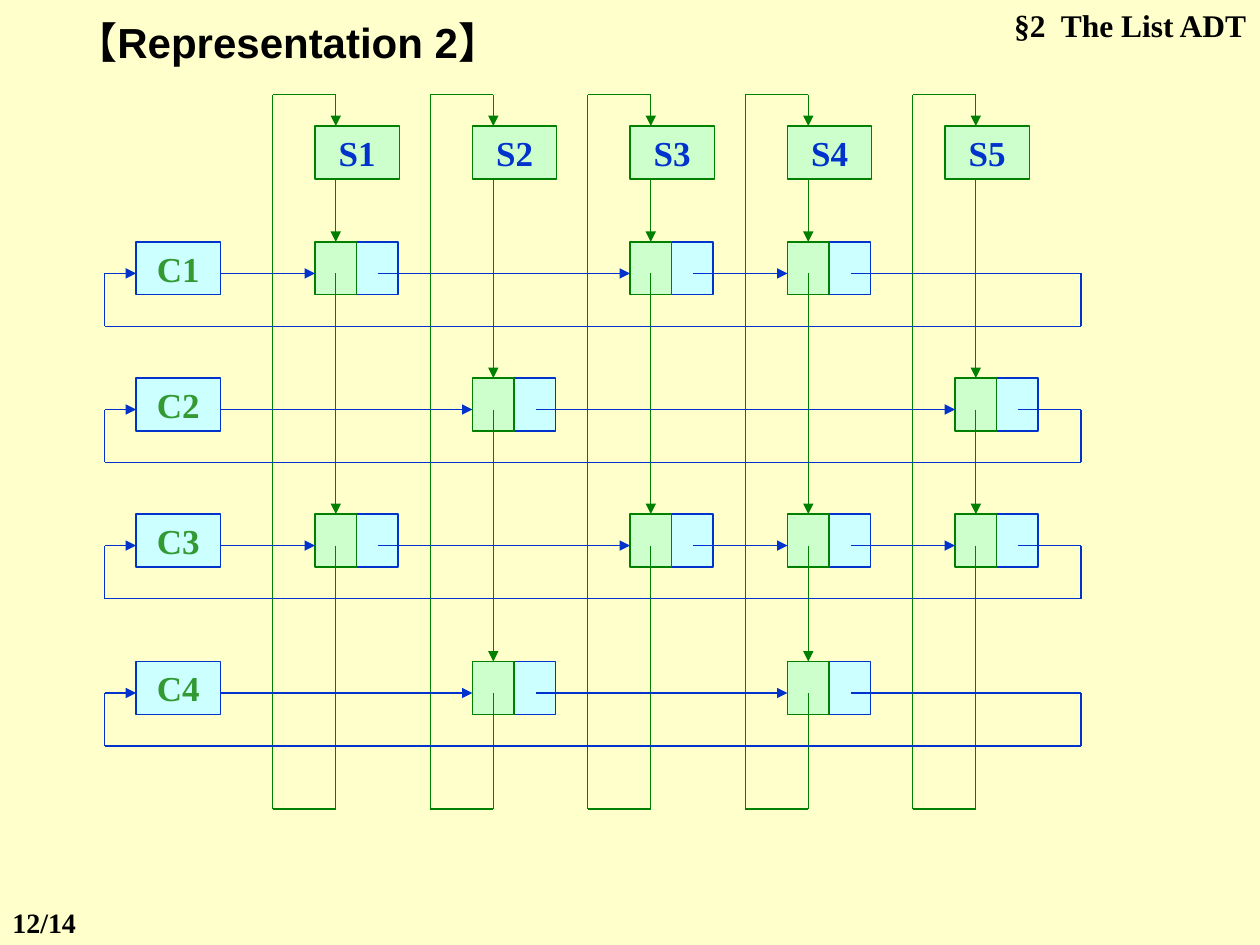
from itertools import pairwise

from lxml.etree import SubElement
from pptx import Presentation
from pptx.dml.color import RGBColor
from pptx.enum.shapes import MSO_CONNECTOR, MSO_SHAPE
from pptx.enum.text import MSO_ANCHOR, PP_ALIGN
from pptx.oxml.ns import qn
from pptx.util import Inches, Pt

CAPTIONS = [
    ("§2  The List ADT", (7.58, 0, 2.41, 0.4), "header", PP_ALIGN.RIGHT),
    ("【Representation 2】", (0.5, 0.08, 4, 0.5), "title", PP_ALIGN.LEFT),
    ("12/14", (0, 7.14, 0.75, 0.37), "page", PP_ALIGN.LEFT),
]
STUDENT_CELLS = {"S1": 2.5, "S2": 3.75, "S3": 5, "S4": 6.25, "S5": 7.58}
COURSE_TOPS = {"C1": 1.92, "C2": 3, "C3": 4.08, "C4": 5.25}
ENROLMENTS = {
    "C1": ["S1", "S3", "S4"],
    "C2": ["S2", "S5"],
    "C3": ["S1", "S3", "S4", "S5"],
    "C4": ["S2", "S4"],
}

THEME = {
    "background": "FFFFCC",
    "student": {"fill": "CCFFCC", "line": "008000"},
    "course": {"fill": "CCFFFF", "line": "0033CC"},
    "line_width": 0.75,
    "fonts": {
        "header": ("Times New Roman", 18, "000000"),
        "title": ("Arial", 24, "000000"),
        "page": ("Times New Roman", 16, "000000"),
        "student": ("Times New Roman", 20, "0033CC"),
        "course": ("Times New Roman", 20, "339933"),
    },
}

HALF, HEIGHT, LABEL_WIDTH = 0.33, 0.42, 0.67
STUDENT_LEFT, STUDENT_STEP, STUDENT_TOP = 2.5, 1.25, 1
COURSE_LEFT = 1.08
POINTER_DROP, POINTER_INSET = 0.25, 0.5
LOOP_TOP, LOOP_BOTTOM, LOOP_OFFSET = 0.75, 6.42, 0.5
LOOP_LEFT, LOOP_RIGHT = 0.83, 8.58


def write(shape, text, role, align, wrap):
    """Put one formatted line of text into a shape."""
    frame = shape.text_frame
    frame.word_wrap = wrap
    paragraph = frame.paragraphs[0]
    paragraph.text = text
    paragraph.alignment = align
    name, size, color = THEME["fonts"][role]
    for key, value in {"name": name, "size": Pt(size), "bold": True}.items():
        setattr(paragraph.font, key, value)
    paragraph.font.color.rgb = RGBColor.from_string(color)


def style_line(line, role):
    """Apply the line colour and width of a role."""
    line.color.rgb = RGBColor.from_string(THEME[role]["line"])
    line.width = Pt(THEME["line_width"])


def add_box(slide, left, top, width, role, label=None):
    """Draw a rectangle, with a centred label if given."""
    box = slide.shapes.add_shape(
        MSO_SHAPE.RECTANGLE, *map(Inches, (left, top, width, HEIGHT)))
    box.shadow.inherit = False
    box.fill.solid()
    box.fill.fore_color.rgb = RGBColor.from_string(THEME[role]["fill"])
    style_line(box.line, role)
    if label:
        write(box, label, role, PP_ALIGN.CENTER, False)
        box.text_frame.vertical_anchor = MSO_ANCHOR.MIDDLE
    return box


def add_wire(slide, points, role, target=None):
    """Draw straight segments through points with an arrow at the end."""
    for start, end in pairwise(points):
        wire = slide.shapes.add_connector(
            MSO_CONNECTOR.STRAIGHT, *map(Inches, (*start, *end)))
        style_line(wire.line, role)
        SubElement(wire._element.spPr, qn("a:effectLst"))
    SubElement(wire.line._get_or_add_ln(), qn("a:tailEnd"), type="triangle")
    if target is not None:
        wire.end_connect(target, 0)


def add_cells(slide):
    """Draw every enrolment cell and return its student halves."""
    student_halves = {}
    for course, students in ENROLMENTS.items():
        for student in students:
            left, top = STUDENT_CELLS[student], COURSE_TOPS[course]
            add_box(slide, left + HALF, top, HALF, "course")
            student_halves[student, course] = add_box(
                slide, left, top, HALF, "student")
    return student_halves


def add_student_list(slide, student, student_halves):
    """Link one student's cells downward and back to the student."""
    x = STUDENT_CELLS[student] + HALF / 2
    pointer_y = STUDENT_TOP + HEIGHT
    for course, top in COURSE_TOPS.items():
        if student in ENROLMENTS[course]:
            add_wire(slide, [(x, pointer_y), (x, top)], "student",
                     student_halves[student, course])
            pointer_y = top + POINTER_DROP
    back = x - LOOP_OFFSET
    add_wire(slide, [(x, pointer_y), (x, LOOP_BOTTOM), (back, LOOP_BOTTOM),
                     (back, LOOP_TOP), (x, LOOP_TOP), (x, STUDENT_TOP)], "student")


def add_course_list(slide, course):
    """Link one course's cells rightward and back to the course."""
    y = COURSE_TOPS[course] + POINTER_DROP
    pointer_x = COURSE_LEFT + LABEL_WIDTH
    for student in ENROLMENTS[course]:
        left = STUDENT_CELLS[student]
        add_wire(slide, [(pointer_x, y), (left, y)], "course")
        pointer_x = left + POINTER_INSET
    back = y + HEIGHT
    add_wire(slide, [(pointer_x, y), (LOOP_RIGHT, y), (LOOP_RIGHT, back),
                     (LOOP_LEFT, back), (LOOP_LEFT, y), (COURSE_LEFT, y)], "course")


def main():
    """Build the multilist slide and save it."""
    deck = Presentation()
    deck.slide_width, deck.slide_height = Inches(10), Inches(7.5)
    slide = deck.slides.add_slide(deck.slide_layouts[6])
    slide.background.fill.solid()
    slide.background.fill.fore_color.rgb = RGBColor.from_string(THEME["background"])

    student_halves = add_cells(slide)
    for text, place, role, align in CAPTIONS:
        caption = slide.shapes.add_textbox(*map(Inches, place))
        write(caption, text, role, align, True)
    for index, student in enumerate(STUDENT_CELLS):
        add_box(slide, STUDENT_LEFT + index * STUDENT_STEP, STUDENT_TOP,
                LABEL_WIDTH, "student", student)
    for course, top in COURSE_TOPS.items():
        add_box(slide, COURSE_LEFT, top, LABEL_WIDTH, "course", course)
    for student in STUDENT_CELLS:
        add_student_list(slide, student, student_halves)
    for course in COURSE_TOPS:
        add_course_list(slide, course)
    deck.save("out.pptx")


if __name__ == "__main__":
    main()
